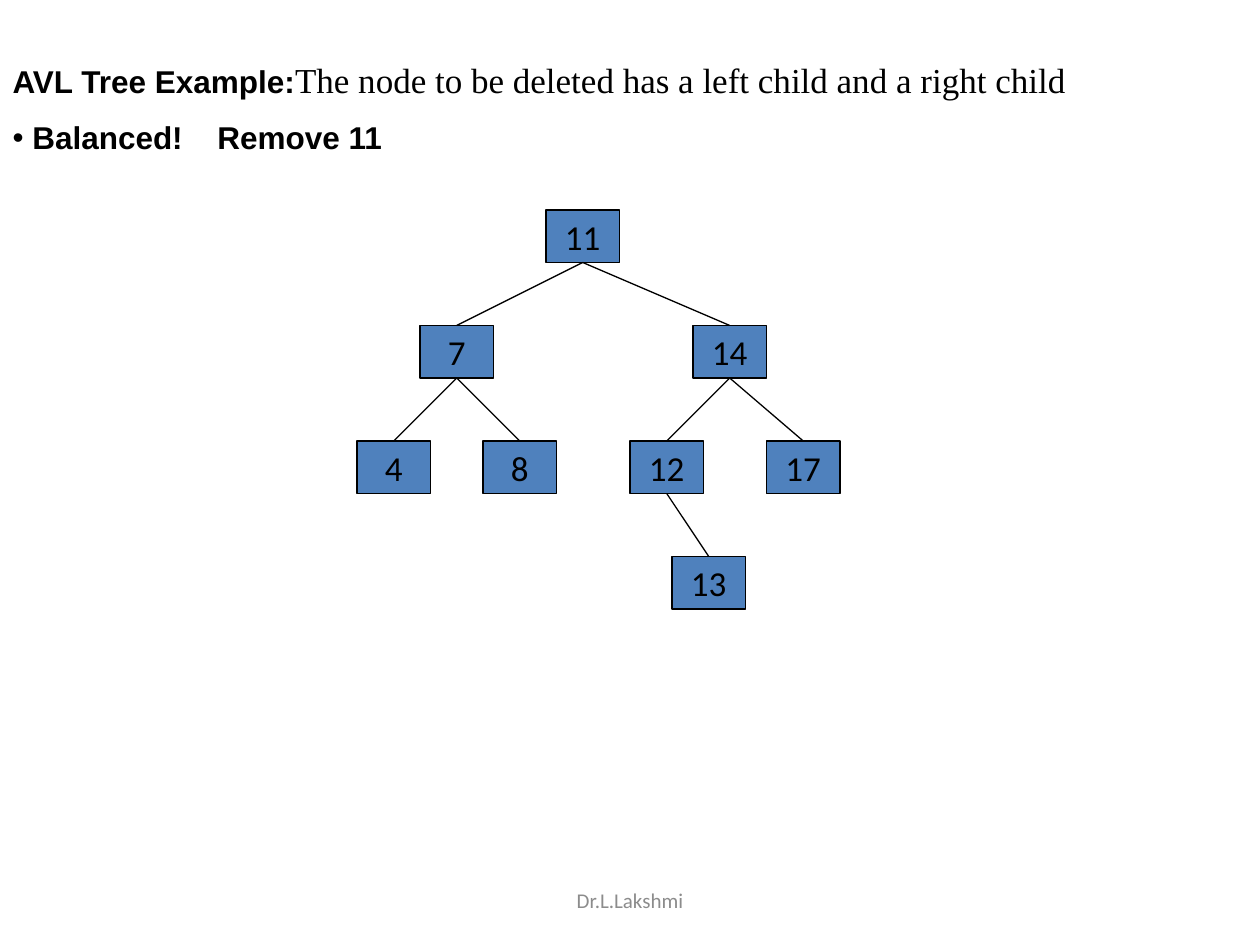
import pptx
import pptx.dml.color
import pptx.enum.shapes
import pptx.enum.text
import pptx.oxml.ns
import pptx.util
from lxml import etree

PX = 9525
BLACK = pptx.dml.color.RGBColor(0x00, 0x00, 0x00)
GREY = pptx.dml.color.RGBColor(0x8C, 0x8C, 0x8C)
BLUE = pptx.dml.color.RGBColor(0x4F, 0x81, 0xBD)

NODE_WIDTH, NODE_HEIGHT = 56, 40
ROOT_TOP, LEVEL_STEP = 160, 88
NODES = {
    "11": (416, 0),
    "7": (320, 1),
    "14": (528, 1),
    "4": (272, 2),
    "8": (368, 2),
    "12": (480, 2),
    "17": (584, 2),
    "13": (512, 3),
}
CHILDREN = {"11": ["7", "14"], "7": ["4", "8"], "14": ["12", "17"], "12": ["13"]}


def px(*lengths):
    """Turn pixel lengths into EMU."""
    return [pptx.util.Emu(length * PX) for length in lengths]


def style(span, size, name, color=BLACK, bold=False):
    """Set the font of a run."""
    span.font.size = pptx.util.Pt(size)
    span.font.name = name
    span.font.color.rgb = color
    span.font.bold = bold


def add_bullet_and_tab(para, position):
    """Give a paragraph a round bullet and one left tab stop."""
    props = para._p.get_or_add_pPr()
    props.set("marL", "0")
    props.set("indent", "0")
    qn = pptx.oxml.ns.qn
    etree.SubElement(props, qn("a:buFont"), typeface="Arial")
    etree.SubElement(props, qn("a:buChar"), char="•")
    tabs = etree.SubElement(props, qn("a:tabLst"))
    etree.SubElement(tabs, qn("a:tab"), pos=str(position * PX), algn="l")


def fill_heading(page):
    """Place the title with its bulleted second line."""
    box = page.shapes.title
    box.left, box.top, box.width, box.height = px(0, 40, 864, 85)
    frame = box.text_frame
    frame.word_wrap = True
    frame.auto_size = pptx.enum.text.MSO_AUTO_SIZE.SHAPE_TO_FIT_TEXT
    frame.vertical_anchor = pptx.enum.text.MSO_ANCHOR.TOP
    heading = frame.paragraphs[0]
    for text, size, name, bold in (
        ("AVL Tree Example:", 18, "Arial", True),
        ("The node to be deleted has a left child and a right child", 20, "Times New Roman", False),
    ):
        span = heading.add_run()
        span.text = text
        style(span, size, name, bold=bold)
    step = frame.add_paragraph()
    step.text = " Balanced!\tRemove 11"
    step.space_before = pptx.util.Pt(10)
    add_bullet_and_tab(step, 156)
    style(step.runs[0], 18, "Arial", bold=True)
    for para in frame.paragraphs:
        para.alignment = pptx.enum.text.PP_ALIGN.LEFT


def set_centred_text(box, text, size, color):
    """Write one line in the middle of a shape."""
    frame = box.text_frame
    frame.text = text
    frame.vertical_anchor = pptx.enum.text.MSO_ANCHOR.MIDDLE
    para = frame.paragraphs[0]
    para.alignment = pptx.enum.text.PP_ALIGN.CENTER
    style(para.runs[0], size, "Calibri", color)


def add_node(page, key, left, level):
    """Draw one tree node."""
    top = ROOT_TOP + level * LEVEL_STEP
    box = page.shapes.add_shape(
        pptx.enum.shapes.MSO_SHAPE.RECTANGLE, *px(left, top, NODE_WIDTH, NODE_HEIGHT)
    )
    box.shadow.inherit = False
    box.fill.solid()
    box.fill.fore_color.rgb = BLUE
    box.line.color.rgb = BLACK
    box.line.width = pptx.util.Pt(0.75)
    box.text_frame.word_wrap = False
    set_centred_text(box, key, 20, BLACK)
    return box


def add_edge(page, parent, child):
    """Join the bottom of a parent to the top of its child."""
    edge = page.shapes.add_connector(pptx.enum.shapes.MSO_CONNECTOR.STRAIGHT, 0, 0, 0, 0)
    edge.begin_connect(parent, 2)
    edge.end_connect(child, 0)
    edge.line.color.rgb = BLACK
    edge.line.width = pptx.util.Pt(0.75)
    etree.SubElement(edge._element.spPr, pptx.oxml.ns.qn("a:effectLst"))


def add_footer(page):
    """Write the author's name at the foot of the slide."""
    box = page.shapes.add_textbox(*px(328, 667, 304, 38))
    box.text_frame.word_wrap = True
    set_centred_text(box, "Dr.L.Lakshmi", 12, GREY)


def main():
    """Build and save the slide."""
    deck = pptx.Presentation()
    deck.slide_width, deck.slide_height = px(960, 720)
    page = deck.slides.add_slide(deck.slide_layouts[5])
    fill_heading(page)
    boxes = {key: add_node(page, key, *place) for key, place in NODES.items()}
    for parent, children in CHILDREN.items():
        for child in children:
            add_edge(page, boxes[parent], boxes[child])
    add_footer(page)
    deck.save("out.pptx")


if __name__ == "__main__":
    main()
